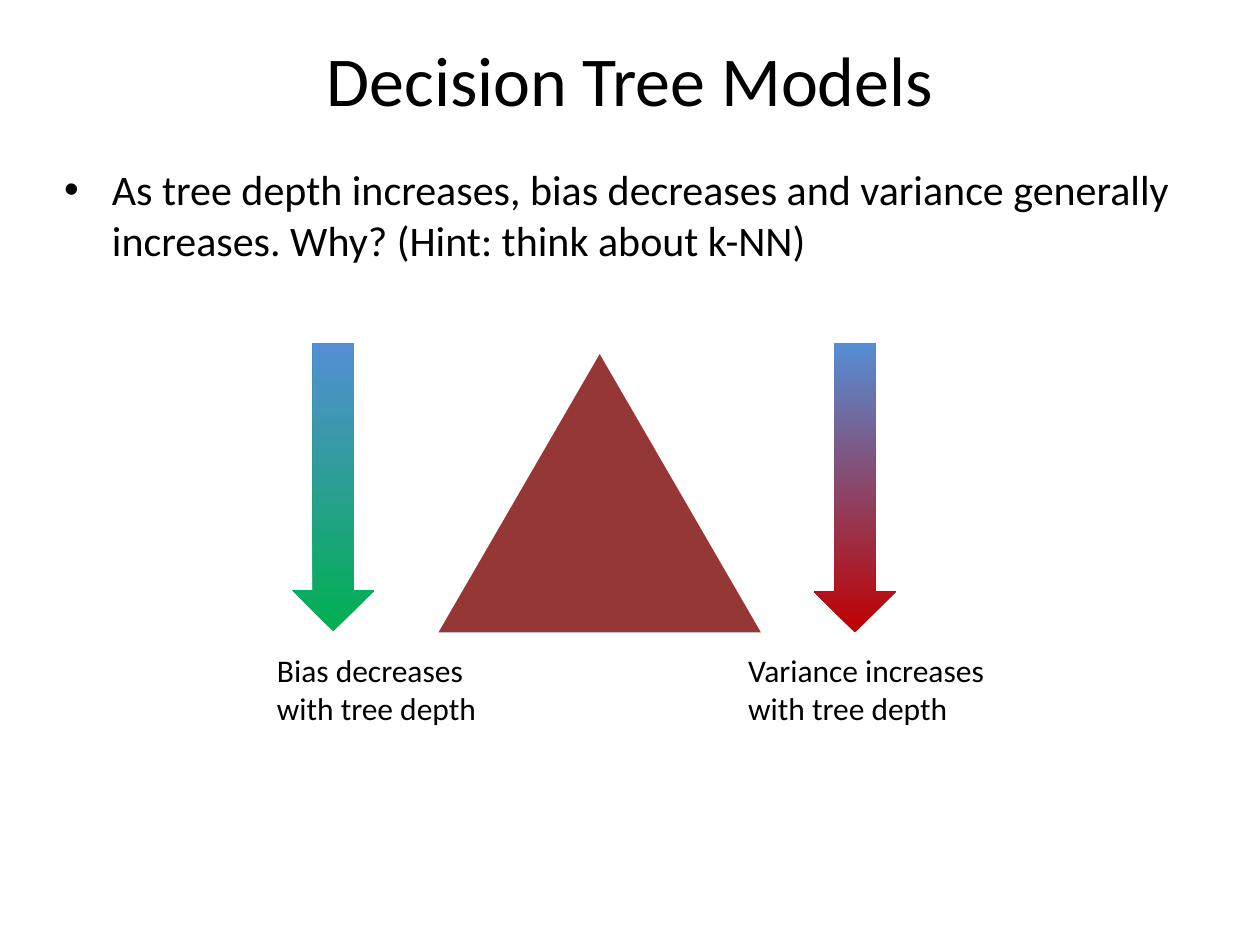
from lxml import etree
from pptx import Presentation
from pptx.dml.color import RGBColor
from pptx.enum.shapes import MSO_SHAPE
from pptx.enum.text import MSO_ANCHOR, MSO_AUTO_SIZE, PP_ALIGN
from pptx.oxml.ns import qn
from pptx.util import Inches, Pt

TRIANGLE = MSO_SHAPE.ISOSCELES_TRIANGLE
DOWN_ARROW = MSO_SHAPE.DOWN_ARROW
LEFT, CENTER = PP_ALIGN.LEFT, PP_ALIGN.CENTER
TOP, MIDDLE = MSO_ANCHOR.TOP, MSO_ANCHOR.MIDDLE
FIT_TEXT = MSO_AUTO_SIZE.SHAPE_TO_FIT_TEXT

FONT = "Calibri"
BLACK = RGBColor(0x00, 0x00, 0x00)
BROWN = RGBColor(0x95, 0x37, 0x35)
BLUE = RGBColor(0x55, 0x8E, 0xD5)
GREEN = RGBColor(0x00, 0xB0, 0x50)
RED = RGBColor(0xC0, 0x00, 0x00)


def add_text(slide, box, text, size, align=LEFT, anchor=TOP, wrap=True, grow=True):
    """Add a text box and return its paragraph; a newline is a line break."""
    frame = slide.shapes.add_textbox(*map(Inches, box)).text_frame
    frame.word_wrap = wrap
    frame.vertical_anchor = anchor
    if grow:
        frame.auto_size = FIT_TEXT
    paragraph = frame.paragraphs[0]
    paragraph.text = text
    paragraph.alignment = align
    for run in paragraph.runs:
        run.font.name = FONT
        run.font.size = Pt(size)
        run.font.color.rgb = BLACK
    return paragraph


def add_bullet(slide, box, text, size):
    paragraph = add_text(slide, box, text, size)
    paragraph.space_before = paragraph.space_after = Pt(6)
    indent = Inches(0.38)
    properties = paragraph._p.get_or_add_pPr()
    properties.set("marL", str(indent))
    properties.set("indent", str(-indent))
    etree.SubElement(properties, qn("a:buFont")).set("typeface", "Arial")
    etree.SubElement(properties, qn("a:buChar")).set("char", "•")


def add_plain_shape(slide, kind, box):
    shape = slide.shapes.add_shape(kind, *map(Inches, box))
    shape.shadow.inherit = False
    shape.line.fill.background()
    return shape


def add_tree(slide, box):
    tree = add_plain_shape(slide, TRIANGLE, box)
    tree.fill.solid()
    tree.fill.fore_color.rgb = BROWN


def add_trend(slide, arrow_box, caption_box, caption, tip_color):
    """Arrow fading from blue to the tip colour, with a caption below."""
    arrow = add_plain_shape(slide, DOWN_ARROW, arrow_box)
    arrow.fill.gradient()
    arrow.fill.gradient_angle = 90
    for stop, color in zip(arrow.fill.gradient_stops, (tip_color, BLUE)):
        stop.color.rgb = color
    for stop, position in zip(arrow.fill.gradient_stops, (0, 1)):
        stop.position = position
    add_text(slide, caption_box, caption, 18, wrap=False)


def main():
    deck = Presentation()
    deck.slide_width, deck.slide_height = Inches(10), Inches(7.5)
    slide = deck.slides.add_slide(deck.slide_layouts[6])

    # Heading and question
    add_text(slide, (0.5, 0, 9, 1.25), "Decision Tree Models", 40,
             align=CENTER, anchor=MIDDLE, grow=False)
    add_bullet(slide, (0.41, 1.25, 9.09, 0.91),
               "As tree depth increases, bias decreases and variance generally "
               "increases. Why? (Hint: think about k-NN)", 24)

    # Tree between the two trends
    add_tree(slide, (3.48, 2.81, 2.56, 2.21))
    add_trend(slide, (2.32, 2.72, 0.65, 2.29), (2.1, 5.12, 1.8, 0.71),
              "Bias decreases\nwith tree depth", GREEN)
    add_trend(slide, (6.46, 2.72, 0.65, 2.3), (5.84, 5.12, 2.1, 0.71),
              "Variance increases\nwith tree depth", RED)

    deck.save("out.pptx")


if __name__ == "__main__":
    main()
